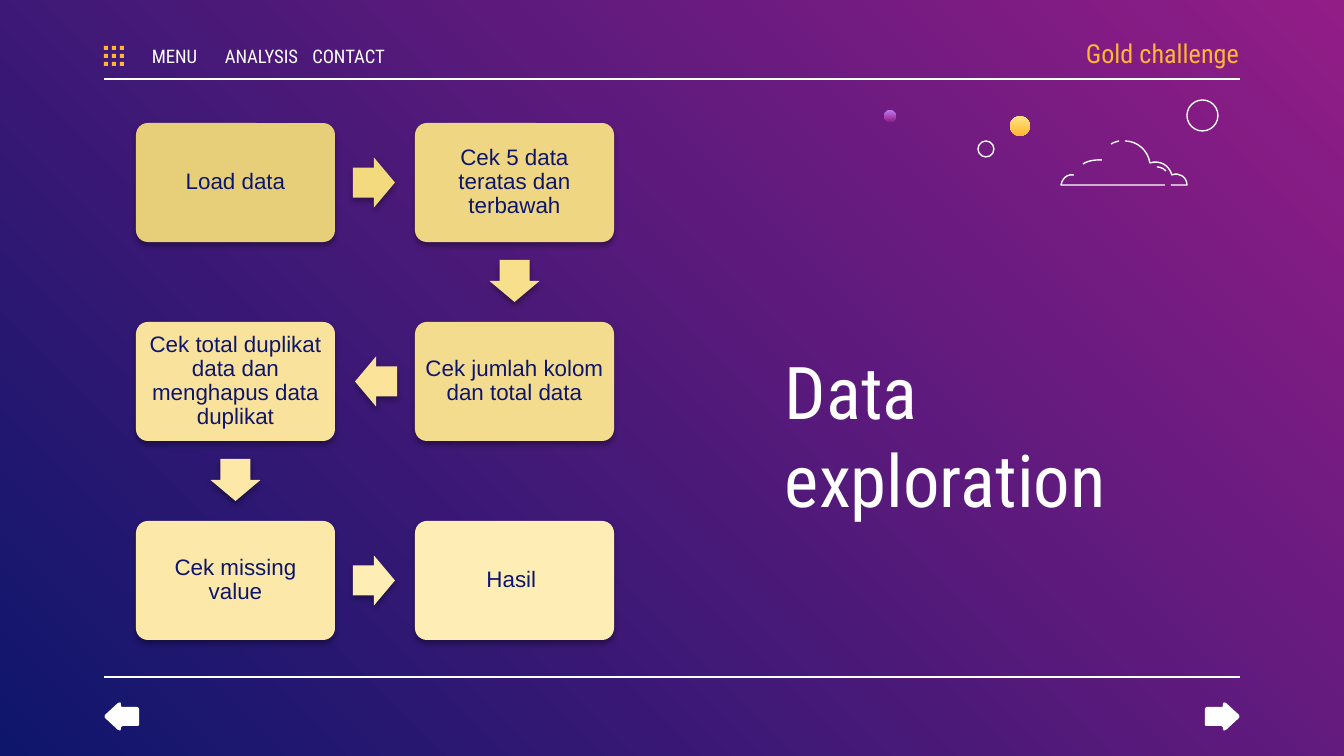
from lxml import etree
from pptx import Presentation
from pptx import util as u
from pptx.dml.color import RGBColor
from pptx.enum import shapes, text
from pptx.oxml.ns import qn

PX = 914400 / 134.4
WIDTH, HEIGHT = 1344, 756
COLORS = {"pink": "921D87", "navy": "0E166C", "white": "FFFFFF", "gold": "FFB632",
          "lilac": "BE7AF3", "lemon": "FFE485"}
HEAD_FONT, BODY_FONT = "Roboto Condensed", "Arial"

RULES = [79, 677]
RULE_LEFT, RULE_RIGHT = 104, 1240
MENU = ["MENU", "ANALYSIS", "CONTACT"]

# (text, column, row, box fill, direction of the arrow that follows, arrow fill)
STEPS = [
    ("Load data", 0, 0, "E7CF79", (1, 0), "F4DA7F"),
    ("Cek 5 data teratas dan terbawah", 1, 0, "EED683", (0, 1), "F7DF8C"),
    ("Cek jumlah kolom dan total data", 1, 1, "F4DC8E", (-1, 0), "FBE499"),
    ("Cek total duplikat data dan menghapus data duplikat", 0, 1, "F9E29B", (0, 1), "FDE8A7"),
    ("Cek missing value", 0, 2, "FCE8A8", (1, 0), "FFEDB6"),
    ("Hasil ", 1, 2, "FFEDB6", None, None),
]
FLOW_LEFT, FLOW_TOP, COLUMN_PITCH, ROW_PITCH = 136, 123, 279, 199
STEP_W, STEP_H, ARROW_W, ARROW_H = 199, 119, 42, 50
TURN = {(1, 0): 0, (0, 1): 90, (-1, 0): 180}

RINGS = [(1187, 100, 31), (978, 141, 16)]
DOTS = [(884, 110, 12, "lilac", "pink"), (1010, 116, 20, "lemon", "gold")]

# Each outline is a start point, then lines (one point) and cubic curves (three points)
CLOUD = [
    [(1125, 141), [(1137, 141), (1148, 150), (1150, 163)], [(1160, 160), (1169, 165), (1172, 175)],
     [(1179, 172), (1187, 177), (1187, 185)], [(1171, 185)]],
    [(1119, 141), [(1119, 141), (1114, 142), (1111, 144)]],
    [(1165, 185), [(1061, 185)], [(1061, 185), (1063, 173), (1074, 175)]],
    [(1157, 167), [(1157, 167), (1163, 167), (1166, 171)]],
    [(1102, 160), [(1102, 160), (1090, 159), (1083, 164)]],
]
NEXT_ARROW = [
    (1226, 730), [(1239, 718)], [(1239, 718), (1240, 716), (1239, 715)], [(1226, 703)],
    [(1224, 701), (1223, 703), (1223, 704)], [(1223, 706)], [(1223, 707), (1222, 707), (1221, 707)],
    [(1207, 707)], [(1206, 707), (1205, 708), (1205, 709)], [(1205, 725)],
    [(1205, 726), (1206, 726), (1207, 726)], [(1221, 726)], [(1223, 726), (1223, 728), (1223, 728)],
    [(1223, 729)], [(1223, 730), (1224, 732), (1226, 730)],
]


def emu(px):
    return u.Emu(round(px * PX))


def rgb(name):
    return RGBColor.from_string(COLORS.get(name, name))


def paint(shape, fill=None, line=None):
    shape.shadow.inherit = False
    if fill:
        shape.fill.solid()
        shape.fill.fore_color.rgb = rgb(fill)
    else:
        shape.fill.background()
    if line:
        shape.line.color.rgb = rgb(line)
        shape.line.width = u.Pt(0.75)
    else:
        shape.line.fill.background()


def blend(fill, first, last, angle):
    fill.gradient()
    fill.gradient_angle = angle
    for stop, color in zip(fill.gradient_stops, (first, last)):
        stop.color.rgb = rgb(color)


def add_shape(parent, kind, x, y, w, h, fill=None, line=None):
    shape = parent.shapes.add_shape(kind, emu(x), emu(y), emu(w), emu(h))
    paint(shape, fill, line)
    return shape


def drop_shadow(shape):
    effects = shape._element.spPr.find(qn("a:effectLst"))
    shadow = etree.SubElement(effects, qn("a:outerShdw"), blurRad="40000", dist="23000",
                              dir="5400000", rotWithShape="0")
    color = etree.SubElement(shadow, qn("a:srgbClr"), val="000000")
    etree.SubElement(color, qn("a:alpha"), val="35000")


def write(shape, words, size, font, color, align, anchor, insets):
    frame = shape.text_frame
    frame.word_wrap = True
    frame.vertical_anchor = anchor
    frame.margin_left, frame.margin_top, frame.margin_right, frame.margin_bottom = map(emu, insets)
    para = frame.paragraphs[0]
    para.alignment = align
    span = para.add_run()
    span.text = words
    span.font.size = u.Pt(size)
    span.font.name = font
    span.font.color.rgb = rgb(color)
    return para


def add_label(page, x, y, w, h, words, size, color, align, anchor, insets):
    box = page.shapes.add_textbox(emu(x), emu(y), emu(w), emu(h))
    write(box, words, size, HEAD_FONT, color, align, anchor, insets)


def add_outline(parent, outline, close, fill=None, line=None):
    """Draw an outline through its end points, then bend the segments that are curves."""
    start, *segments = outline
    builder = parent.shapes.build_freeform(emu(start[0]), emu(start[1]))
    builder.add_line_segments([(emu(x), emu(y)) for x, y in (s[-1] for s in segments)], close=close)
    shape = builder.convert_to_shape()
    paint(shape, fill, line)
    straights = list(shape._element.iter(qn("a:lnTo")))
    for straight, segment in zip(straights, segments):
        if len(segment) == 3:
            curve = etree.Element(qn("a:cubicBezTo"))
            for x, y in segment:
                etree.SubElement(curve, qn("a:pt"), x=str(emu(x) - shape.left),
                                 y=str(emu(y) - shape.top))
            straight.getparent().replace(straight, curve)


def mirror(outline):
    start, *segments = outline
    return [(WIDTH - start[0], start[1])] + [[(WIDTH - x, y) for x, y in s] for s in segments]


def add_frame(page):
    for y in RULES:
        rule = page.shapes.add_connector(shapes.MSO_CONNECTOR.STRAIGHT, emu(RULE_LEFT), emu(y),
                                         emu(RULE_RIGHT), emu(y))
        rule.line.color.rgb = rgb("white")
        rule.line.width = u.Pt(0.75)
        etree.SubElement(rule._element.spPr, qn("a:effectLst"))
    align, anchor = text.PP_ALIGN, text.MSO_ANCHOR
    add_label(page, 772, 334, 456, 89, "Data exploration", 39, "white", align.LEFT, anchor.TOP,
              (13, 13, 13, 13))
    add_label(page, 1038, 31, 201, 44, "Gold challenge", 14, "gold", align.RIGHT, anchor.MIDDLE,
              (13, 13, 0, 13))
    for i, item in enumerate(MENU):
        add_label(page, 136 + 87 * i, 41, 77, 31, item, 10, "white", align.CENTER, anchor.MIDDLE,
                  (0, 13, 0, 13))
    for outline in (NEXT_ARROW, mirror(NEXT_ARROW)):
        add_outline(page, outline, True, fill="white")
    grid = page.shapes.add_group_shape()
    for i in range(9):
        add_shape(grid, shapes.MSO_SHAPE.RECTANGLE, 104 + 8 * (i // 3), 46 + 8 * (i % 3), 4, 4, "gold")


def add_sky(page):
    cloud = page.shapes.add_group_shape()
    for stroke in CLOUD:
        add_outline(cloud, stroke, False, line="white")
    for x, y, size in RINGS:
        add_shape(page, shapes.MSO_SHAPE.OVAL, x, y, size, size, line="white")
    for x, y, size, first, last in DOTS:
        dot = add_shape(page, shapes.MSO_SHAPE.OVAL, x, y, size, size)
        blend(dot.fill, first, last, 270)


def add_flow(page):
    flow = page.shapes.add_group_shape()
    for words, column, row, fill, direction, arrow_fill in STEPS:
        x, y = FLOW_LEFT + COLUMN_PITCH * column, FLOW_TOP + ROW_PITCH * row
        step = add_shape(flow, shapes.MSO_SHAPE.ROUNDED_RECTANGLE, x, y, STEP_W, STEP_H, fill)
        step.adjustments[0] = 0.1
        drop_shadow(step)
        para = write(step, words, 12, BODY_FONT, "navy", text.PP_ALIGN.CENTER,
                     text.MSO_ANCHOR.MIDDLE, (7, 7, 7, 7))
        para.line_spacing = 0.9
        if direction is None:
            continue
        dx, dy = direction
        # The arrow sits midway to the next step, one px back
        center_x = x + STEP_W / 2 + dx * (COLUMN_PITCH / 2 - 1)
        center_y = y + STEP_H / 2 + dy * (ROW_PITCH / 2 - 1)
        arrow = add_shape(flow, shapes.MSO_SHAPE.RIGHT_ARROW, center_x - ARROW_W / 2,
                          center_y - ARROW_H / 2, ARROW_W, ARROW_H, arrow_fill)
        arrow.adjustments[0], arrow.adjustments[1] = 0.6, 0.5
        arrow.rotation = TURN[direction]
        drop_shadow(arrow)


def main():
    deck = Presentation()
    deck.slide_width, deck.slide_height = emu(WIDTH), emu(HEIGHT)
    page = deck.slides.add_slide(deck.slide_layouts[6])
    blend(page.background.fill, "pink", "navy", 225)
    add_frame(page)
    add_sky(page)
    add_flow(page)
    deck.save("out.pptx")


if __name__ == "__main__":
    main()
